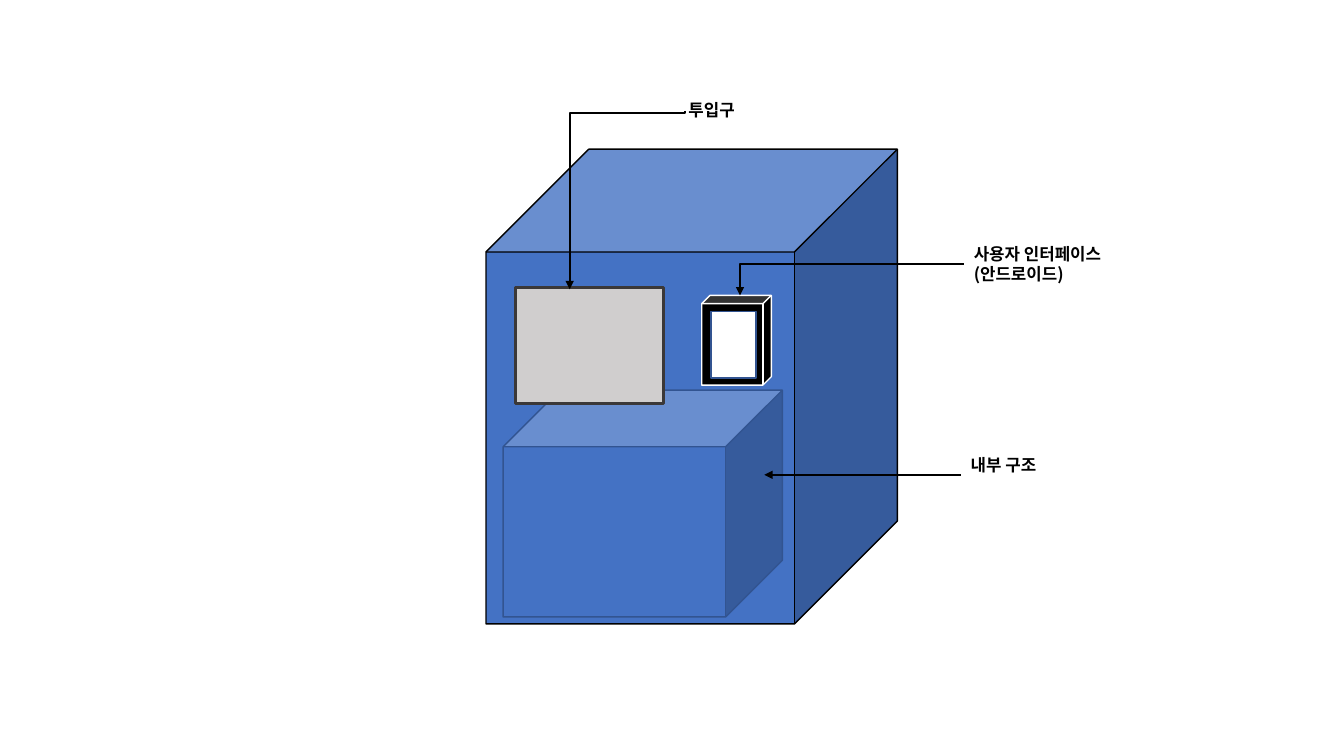
from dataclasses import dataclass

from lxml.etree import SubElement as add_sub
from pptx import Presentation
from pptx.dml.color import RGBColor as Rgb
from pptx.enum.shapes import MSO_CONNECTOR as Link, MSO_SHAPE as Kind
from pptx.enum.text import MSO_AUTO_SIZE as Fit
from pptx.oxml.ns import qn
from pptx.util import Inches, Pt


@dataclass(frozen=True)
class Theme:
    ink: str = "000000"
    paper: str = "FFFFFF"
    blue: str = "4472C4"
    navy: str = "325491"
    silver: str = "D0CECE"
    slate: str = "3B3838"
    font: str = "Noto Sans CJK KR"
    size: float = 12
    thin: float = 1
    mid: float = 1.5
    thick: float = 2.25


THEME = Theme()


def set_all(item, values):
    for name, value in values.items():
        setattr(item, name, value)


def set_line(line, tint, width):
    line.color.rgb = Rgb.from_string(tint)
    line.width = Pt(width)


def add_solid(slide, kind, box, fill, edge, width=THEME.thin, depth=None):
    shape = slide.shapes.add_shape(kind, *map(Inches, box))
    shape.shadow.inherit = False
    shape.fill.solid()
    shape.fill.fore_color.rgb = Rgb.from_string(fill)
    set_line(shape.line, edge, width)
    if depth is not None:
        shape.adjustments[0] = depth


def add_arrow(slide, kind, start, end):
    arrow = slide.shapes.add_connector(kind, *map(Inches, start + end))
    set_line(arrow.line, THEME.ink, THEME.mid)
    props = arrow._element.spPr
    add_sub(props.find(qn("a:ln")), qn("a:tailEnd"), type="triangle")
    add_sub(props, qn("a:effectLst"))
    return props


def add_corner(slide, start, end):
    props = add_arrow(slide, Link.ELBOW, start, end)
    props.find(qn("a:prstGeom")).set("prst", "bentConnector2")


def add_drop(slide, start, end, bend):
    mid_x, mid_y = (start[0] + end[0]) / 2, (start[1] + end[1]) / 2
    half_w, half_h = (end[1] - start[1]) / 2, (start[0] - end[0]) / 2
    props = add_arrow(slide, Link.ELBOW, (mid_x - half_w, mid_y - half_h),
                      (mid_x + half_w, mid_y + half_h))
    props.find(qn("a:xfrm")).set("rot", str(90 * 60000))
    shape = props.find(qn("a:prstGeom"))
    guides = shape.find(qn("a:avLst"))
    if guides is None:
        guides = add_sub(shape, qn("a:avLst"))
    add_sub(guides, qn("a:gd"), name="adj1", fmla=f"val {round(bend * 100000)}")


def add_label(slide, box, *lines):
    frame = slide.shapes.add_textbox(*map(Inches, box)).text_frame
    set_all(frame, {"word_wrap": True, "auto_size": Fit.SHAPE_TO_FIT_TEXT})
    for index, line in enumerate(lines):
        para = frame.add_paragraph() if index else frame.paragraphs[0]
        run = para.add_run()
        run.text = line
        set_all(run.font, {"name": THEME.font, "size": Pt(THEME.size), "bold": True})
        run.font.color.rgb = Rgb.from_string(THEME.ink)
        add_sub(run._r.get_or_add_rPr(), qn("a:ea"), typeface=THEME.font)


def main():
    deck = Presentation()
    set_all(deck, {"slide_width": Inches(13.33), "slide_height": Inches(7.5)})
    slide = deck.slides.add_slide(deck.slide_layouts[6])

    add_solid(slide, Kind.CUBE, (4.82, 1.48, 4.08, 4.71), THEME.blue, THEME.ink)
    add_solid(slide, Kind.CUBE, (6.96, 2.93, 0.69, 0.89), THEME.ink, THEME.paper, depth=0.12)
    add_corner(slide, (9.56, 2.62), (7.34, 2.93))
    add_solid(slide, Kind.CUBE, (4.99, 3.87, 2.77, 2.25), THEME.blue, THEME.navy)
    add_solid(slide, Kind.RECTANGLE, (7.05, 3.09, 0.45, 0.66), THEME.paper, THEME.navy)
    add_arrow(slide, Link.STRAIGHT, (9.53, 4.71), (7.58, 4.71))
    add_solid(slide, Kind.RECTANGLE, (5.11, 2.85, 1.47, 1.15), THEME.silver, THEME.slate,
              THEME.thick)
    add_drop(slide, (6.79, 1.1), (5.65, 2.87), 0.013)

    add_label(slide, (9.56, 2.37, 2.43, 0.5), "사용자 인터페이스", "(안드로이드)")
    add_label(slide, (6.73, 0.94, 0.77, 0.31), "투입구")
    add_label(slide, (9.53, 4.46, 2.43, 0.3), "내부 구조")
    deck.save("out.pptx")


if __name__ == "__main__":
    main()
